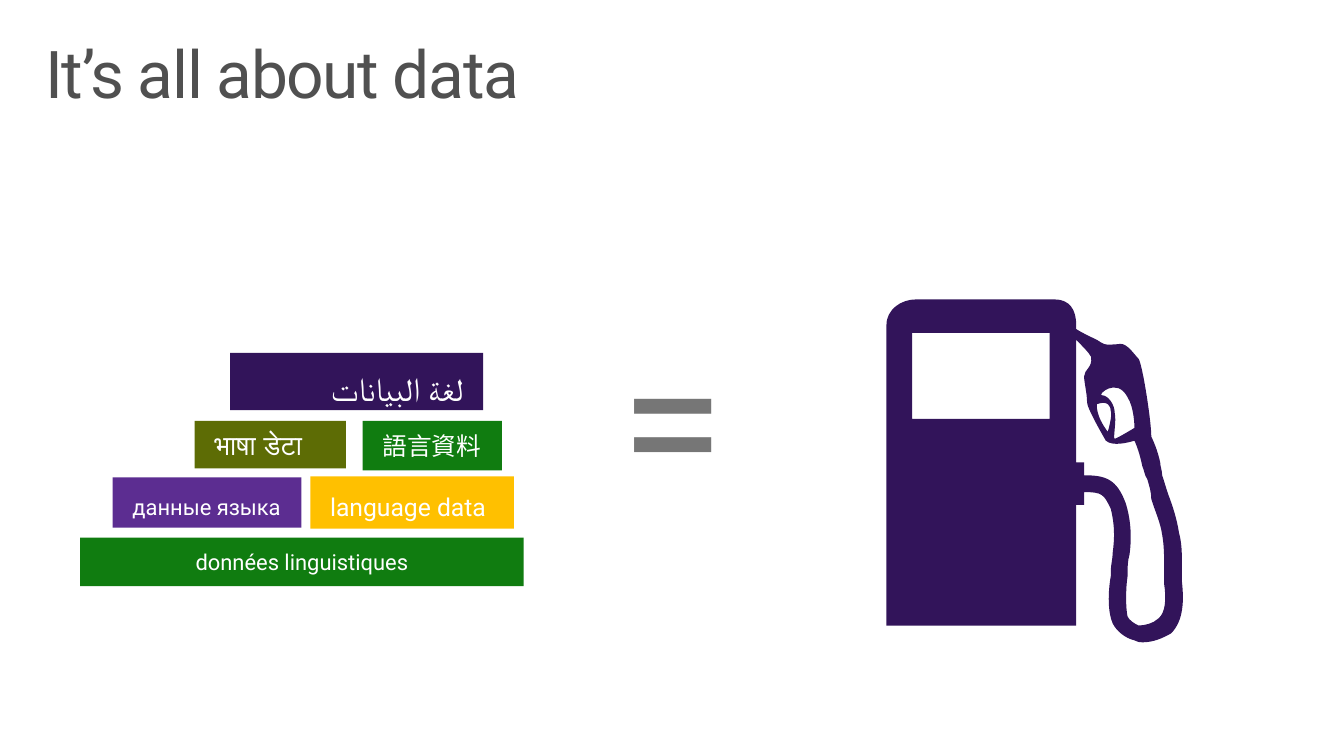
from lxml.etree import SubElement
from pptx import Presentation
from pptx.dml.color import RGBColor
from pptx.enum.shapes import MSO_SHAPE
from pptx.enum.text import MSO_ANCHOR, PP_ALIGN
from pptx.oxml.ns import qn
from pptx.util import Inches, Pt

WIDE, HIGH = 13.6, 7.65
COLORS = {
    "title": "505050", "equals": "767676", "white": "FFFFFF",
    "night": "32145A", "green": "107C10", "violet": "5C2D91",
    "olive": "5D6C05", "amber": "FFC000",
}
TOP, MID = MSO_ANCHOR.TOP, MSO_ANCHOR.MIDDLE
LEFT, CENTER, RIGHT = PP_ALIGN.LEFT, PP_ALIGN.CENTER, PP_ALIGN.RIGHT

STACK_GRID = (449, 236)
BLOCKS = [
    ("لغة البيانات", (152, 0, 256, 58), "night", dict(size=24, align=RIGHT)),
    ("語言資料", (286, 69, 141, 50), "green", dict(size=18, anchor=MID)),
    ("данные языка", (33, 126, 191, 51), "violet", dict(size=16)),
    ("भाषा डेटा", (116, 69, 153, 48), "olive",
     dict(size=20, anchor=MID, face="Arial")),
    ("language data", (233, 125, 206, 53), "amber", dict(size=18)),
    ("données linguistiques", (0, 187, 449, 49), "green",
     dict(size=16, anchor=MID, align=CENTER)),
]

PUMP_GRID = (301, 348)
BODY = [
    (299, 286), (299, 284, 299, 282, 299, 280), (299, 271),
    (299, 258, 299, 247, 296, 236), (294, 223, 290, 210, 285, 197),
    (283, 191, 281, 184, 279, 178), (279, 173, 277, 169, 277, 165),
    (275, 156, 272, 147, 268, 139), (268, 123, 259, 65, 255, 60),
    (251, 56, 244, 45, 237, 45), (218, 47, 220, 45, 213, 41),
    (209, 39, 198, 34, 192, 30), (192, 26), (192, 10, 185, 0, 170, 0),
    (30, 0), (15, 0, 0, 10, 0, 26), (0, 330), (192, 330), (192, 208),
    (200, 208), (200, 195), (218, 195, 220, 197, 227, 212),
    (231, 228, 231, 241, 229, 256), (229, 262, 227, 269, 227, 275),
    (227, 280), (224, 297, 224, 317, 229, 328),
    (233, 336, 242, 343, 251, 345), (255, 347, 257, 347, 259, 347),
    (270, 347, 279, 343, 288, 338), (301, 325, 301, 304, 299, 286),
]
GRIP = [
    (244, 99), (251, 110, 251, 130, 251, 130), (251, 130, 233, 141, 231, 141),
    (229, 141, 233, 123, 231, 115), (231, 106, 224, 97, 218, 97),
    (213, 97, 233, 78, 244, 99),
]
LEVER = [
    (213, 106), (224, 102, 227, 108, 227, 113),
    (229, 117, 224, 134, 224, 134), (211, 117, 213, 106, 213, 106),
]
SCREEN = [(165, 121), (26, 121), (26, 34), (165, 34)]
HOSE = [
    (275, 323), (270, 328, 261, 330, 255, 330), (251, 328, 246, 325, 244, 321),
    (242, 312, 242, 293, 244, 280), (244, 278),
    (244, 271, 244, 265, 246, 258), (248, 243, 248, 225, 242, 206),
    (233, 182, 222, 178, 200, 178), (200, 165), (192, 165), (192, 41),
    (198, 47, 205, 54, 207, 58), (209, 69, 200, 71, 200, 78),
    (200, 84, 203, 95, 203, 104), (203, 110, 218, 136, 222, 143),
    (229, 149, 244, 145, 251, 143), (255, 152, 257, 160, 259, 169),
    (261, 173, 261, 178, 264, 182), (266, 189, 268, 195, 268, 202),
    (272, 215, 277, 225, 279, 238), (281, 249, 281, 260, 281, 271),
    (281, 280), (281, 284, 281, 286, 281, 288),
    (283, 301, 283, 317, 275, 323),
]
LOOPS = [BODY, GRIP, LEVER, SCREEN, HOSE]


def ink(color):
    """Return the named colour."""
    return RGBColor.from_string(COLORS[color])


def paint(shape, color):
    """Give a shape a flat fill with no line or shadow."""
    shape.shadow.inherit = False
    shape.fill.solid()
    shape.fill.fore_color.rgb = ink(color)
    shape.line.fill.background()


def write(shape, text, size, color="white", face="Roboto", align=LEFT,
          anchor=TOP, pad=(0.2, 0.16), lead=None, after=None, track=None):
    """Set the text of a shape and its format."""
    frame = shape.text_frame
    frame.word_wrap = True
    frame.vertical_anchor = anchor
    frame.margin_left = frame.margin_right = Inches(pad[0])
    frame.margin_top = frame.margin_bottom = Inches(pad[1])
    para = frame.paragraphs[0]
    para.alignment, para.line_spacing = align, lead
    if after:
        para.space_after = Pt(after)
    run = para.add_run()
    run.text = text
    run.font.size, run.font.name = Pt(size), face
    run.font.color.rgb = ink(color)
    SubElement(run.font._element, qn("a:cs"), typeface=face)
    if track:
        run.font._element.set("spc", str(track * 100))


def label(slide, box, text, **form):
    """Add a text box."""
    area = slide.shapes.add_textbox(*map(Inches, box))
    write(area, text, **form)


def stack(slide, box):
    """Pile up the language blocks."""
    left, top, width, height = box
    col, row = width / STACK_GRID[0], height / STACK_GRID[1]
    for text, (x, y, w, h), color, form in BLOCKS:
        place = (left + x * col, top + y * row, w * col, h * row)
        block = slide.shapes.add_shape(MSO_SHAPE.RECTANGLE, *map(Inches, place))
        paint(block, color)
        write(block, text, **form)


def bend(shape, parts):
    """Turn each line that has control points into a cubic curve."""
    lines = list(shape._element.iter(qn("a:lnTo")))
    for line, part in zip(lines, parts):
        if len(part) == 6:
            line.clear()
            curve = SubElement(line.getparent(), qn("a:cubicBezTo"))
            for x, y in zip(part[::2], part[1::2]):
                SubElement(curve, qn("a:pt"), x=str(x), y=str(y))
            line.getparent().replace(line, curve)


def pump(slide, box):
    """Draw the fuel pump with its openings."""
    left, top, width, height = box
    scale = (Inches(width) / PUMP_GRID[0], Inches(height) / PUMP_GRID[1])
    pen = slide.shapes.build_freeform(*BODY[0], scale=scale)
    for loop in LOOPS:
        if loop is not BODY:
            pen.move_to(*loop[0])
        pen.add_line_segments([part[-2:] for part in loop[1:]], close=True)
    shape = pen.convert_to_shape(Inches(left), Inches(top))
    bend(shape, [part for loop in LOOPS for part in loop[1:]])
    paint(shape, "night")


def main():
    """Build the slide and save it."""
    deck = Presentation()
    deck.slide_width, deck.slide_height = Inches(WIDE), Inches(HIGH)
    slide = deck.slides.add_slide(deck.slide_layouts[6])
    label(slide, (0.3, 0.32, 13, 1), "It’s all about data", size=48,
          color="title", pad=(0.16, 0.1), lead=0.9, track=-1)
    label(slide, (5.49, 3.14, 2.62, 2.41), "=", size=138, color="equals",
          align=CENTER, lead=0.9, after=6)
    pump(slide, (8.97, 3.03, 3.01, 3.48))
    stack(slide, (0.81, 3.57, 4.49, 2.36))
    deck.save("out.pptx")


if __name__ == "__main__":
    main()
